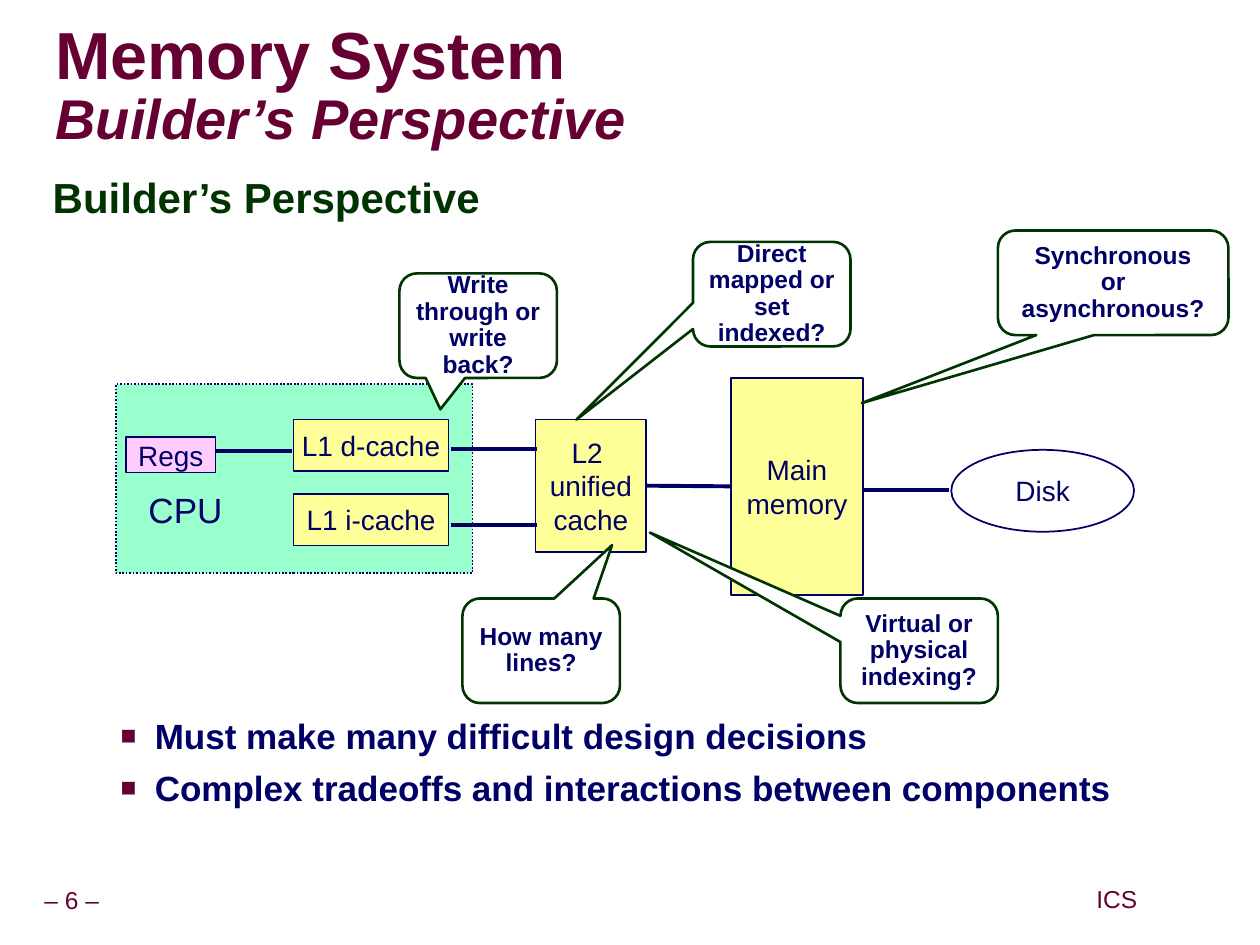
from lxml import etree
from pptx import Presentation
from pptx.dml.color import RGBColor
from pptx.enum.dml import MSO_LINE
from pptx.enum.shapes import MSO_CONNECTOR, MSO_SHAPE
from pptx.enum.text import MSO_ANCHOR, PP_ALIGN
from pptx.oxml.ns import qn
from pptx.util import Inches, Pt

RECT, OVAL = MSO_SHAPE.RECTANGLE, MSO_SHAPE.OVAL
CALL = MSO_SHAPE.ROUNDED_RECTANGULAR_CALLOUT
LINE, DOT = MSO_CONNECTOR.STRAIGHT, MSO_LINE.ROUND_DOT
TOP, MID = MSO_ANCHOR.TOP, MSO_ANCHOR.MIDDLE
LEFT, CENTER = PP_ALIGN.LEFT, PP_ALIGN.CENTER
COLORS = {
    "navy": "000066", "wine": "660033", "green": "003300", "mint": "99FFCC",
    "cream": "FFFF99", "pink": "FFCCFF", "white": "FFFFFF", "gray": "969696",
}


def rgb(name):
    return RGBColor.from_string(COLORS[name])


def add(parent, tag, **attrs):
    return etree.SubElement(parent, qn(tag), attrs)


def shade(run):
    """Give the letters of a run a drop shadow."""
    fx = etree.Element(qn("a:effectLst"))
    drop = add(fx, "a:outerShdw", dist="53882", dir="2700000", algn="ctr")
    add(drop, "a:srgbClr", val=COLORS["gray"])
    run._r.get_or_add_rPr().find(qn("a:solidFill")).addnext(fx)


def bullet(para):
    props = para._p.get_or_add_pPr()
    props.set("marL", str(Inches(0.27)))
    props.set("indent", str(Inches(-0.27)))
    add(add(props, "a:buClr"), "a:srgbClr", val=COLORS["wine"])
    add(props, "a:buSzPct", val="75000")
    add(props, "a:buFont", typeface="Arial")
    add(props, "a:buChar", char="■")


class Deck:
    font = "Arial"

    def __init__(self):
        self.prs = Presentation()
        self.prs.slide_width, self.prs.slide_height = Inches(10), Inches(7.5)
        self.slide = self.prs.slides.add_slide(self.prs.slide_layouts[6])
        self.shapes = self.slide.shapes

    def fill_text(self, shape, text, size, color="navy", bold=False,
                  align=CENTER, anchor=MID, wrap=False, pad=(0.08, 0.04),
                  space=1.0):
        frame = shape.text_frame
        frame.text = text
        frame.word_wrap, frame.vertical_anchor = wrap, anchor
        frame.margin_left = frame.margin_right = Inches(pad[0])
        frame.margin_top = frame.margin_bottom = Inches(pad[1])
        for para in frame.paragraphs:
            para.alignment, para.line_spacing = align, space
            for run in para.runs:
                run.font.name, run.font.size = self.font, Pt(size)
                run.font.bold = bold
                run.font.color.rgb = rgb(color)
        return frame

    def label(self, at, text, size, **style):
        box = self.shapes.add_textbox(*map(Inches, at))
        return self.fill_text(box, text, size, **style)

    def box(self, at, fill, text="", kind=RECT, edge="navy", width=1):
        shape = self.shapes.add_shape(kind, *map(Inches, at))
        shape.shadow.inherit = False
        shape.fill.solid()
        shape.fill.fore_color.rgb = rgb(fill)
        shape.line.color.rgb = rgb(edge)
        shape.line.width = Pt(width)
        if text:
            self.fill_text(shape, text, 16)
        return shape

    def wire(self, x1, x2, y, start=None, end=None):
        """Draw a level line, joined to the sides of start and end if given."""
        line = self.shapes.add_connector(LINE, *map(Inches, (x1, y, x2, y)))
        line.line.color.rgb = rgb("navy")
        line.line.width = Pt(2.25)
        add(line._element.spPr, "a:effectLst")
        if start:
            line.begin_connect(start, 3)
        if end:
            line.end_connect(end, 1)

    def callout(self, x, y, text, tip, wide=1.25):
        """Draw a bubble; tip is its offset from the centre in box sizes."""
        shape = self.box((x, y, wide, 0.83), "white", kind=CALL,
                         edge="green", width=1.5)
        shape.adjustments[0], shape.adjustments[1] = tip
        self.fill_text(shape, text, 14, bold=True, wrap=True,
                       pad=(0.05, 0.05), space=0.9)


def main():
    deck = Deck()
    foot = dict(color="wine", pad=(0.05, 0.05), space=0.9)
    deck.label((0.24, 7, 0.66, 0.31), "– 6 –", 14, **foot)
    deck.label((8.65, 6.99, 0.43, 0.31), "ICS", 14, **foot)

    title = deck.label((0.44, 0.27, 9.53, 0.85),
                       "Memory System\vBuilder’s Perspective",
                       38, color="wine", bold=True, align=LEFT, wrap=True,
                       pad=(0, 0), space=0.87)
    runs = title.paragraphs[0].runs
    runs[1].font.size, runs[1].font.italic = Pt(32), True
    for run in runs:
        shade(run)

    body = dict(bold=True, align=LEFT, anchor=TOP, wrap=True, pad=(0.1, 0.05))
    deck.label((0.32, 1.34, 9.09, 0.5), "Builder’s Perspective", 24,
               color="green", space=0.95, **body)
    points = deck.label((0.86, 5.62, 8.55, 0.85),
                        "Must make many difficult design decisions\n"
                        "Complex tradeoffs and interactions between components",
                        20, **body)
    for para in points.paragraphs:
        bullet(para)
    points.paragraphs[1].space_before = Pt(6)

    chip = deck.box((0.92, 3.05, 2.83, 1.5), "mint")
    chip.line.dash_style = DOT
    ram = deck.box((5.8, 3, 1.05, 1.72), "cream", "Main\nmemory")
    deck.box((7.55, 3.57, 1.45, 0.65), "white", "Disk", OVAL)
    for y, name in ((3.92, "L1 i-cache"), (3.33, "L1 d-cache")):
        deck.box((2.33, y, 1.23, 0.41), "cream", name)
    deck.box((1, 3.47, 0.71, 0.28), "pink", "Regs")
    cache = deck.box((4.25, 3.33, 0.88, 1.05), "cream", "L2 \nunified\ncache")

    deck.wire(1.71, 2.32, 3.58)
    for y in (3.56, 4.17):
        deck.wire(3.58, 4.26, y)
    deck.wire(5.13, 5.8, 3.86, cache, ram)
    deck.wire(6.85, 7.53, 3.89)
    deck.label((1.08, 3.83, 0.79, 0.43), "CPU", 20, align=LEFT, anchor=TOP,
               pad=(0.1, 0.05))

    deck.callout(3.17, 2.17, "Write through or write back?", (-0.24, 0.8))
    deck.callout(5.5, 1.92, "Direct mapped or set indexed?", (-1.24, 1.2))
    deck.callout(3.67, 4.75, "How many lines?", (0.45, -1.01))
    deck.callout(6.67, 4.75, "Virtual or physical indexing?", (-1.71, -1.13))
    deck.callout(7.92, 1.83, "Synchronous\nor\nasynchronous?", (-1.09, 1.15), 1.83)
    deck.prs.save("out.pptx")


if __name__ == "__main__":
    main()
